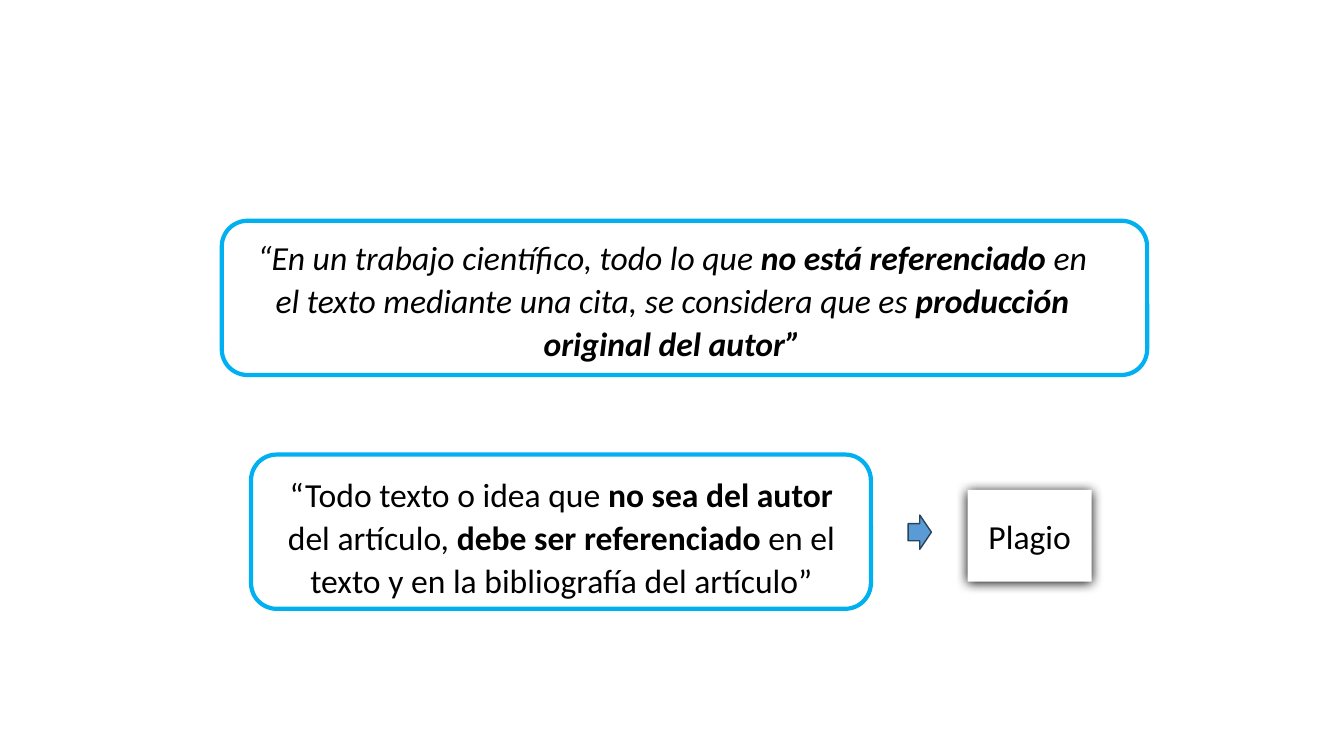
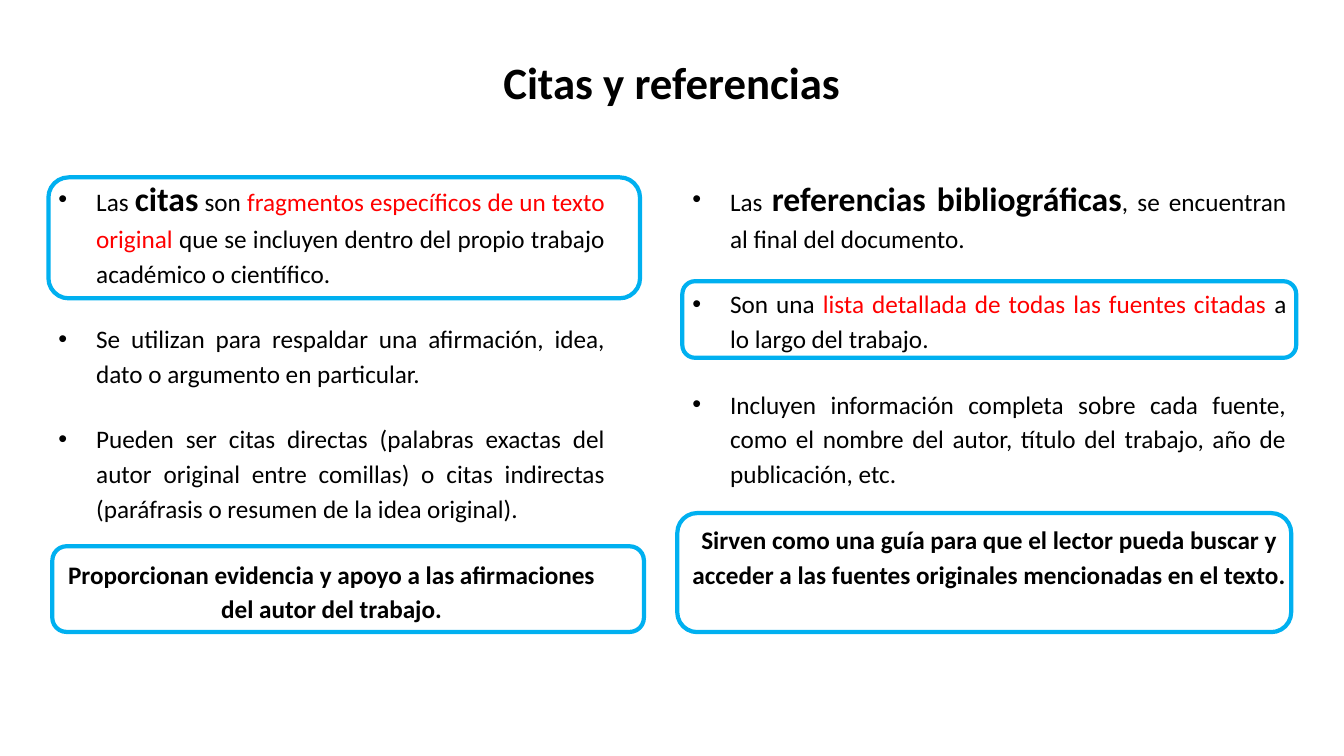
"""Builds two slides on citing sources and on citations versus references."""
import pptx
import pptx.util
import pptx.dml.color
import pptx.enum.shapes
import pptx.enum.text
import pptx.oxml
import pptx.oxml.ns
import lxml.etree

Pt = pptx.util.Pt
SHAPES = pptx.enum.shapes.MSO_SHAPE
ALIGN = pptx.enum.text.PP_ALIGN
ANCHOR = pptx.enum.text.MSO_ANCHOR

FONT = "Calibri"
BLACK, WHITE, RED = "000000", "FFFFFF", "FF0000"
FRAME_BLUE, ARROW_BLUE, ARROW_EDGE = "00B0F0", "5B9BD5", "28445D"

STYLES = {
    "plain": {},
    "bold": {"bold": True},
    "term": {"bold": True, "size": 24},
    "red": {"color": RED},
}

QUOTES = [
    {
        "box": (168.5, 164.2, 623.5, 131),
        "frame": (158.4, 157.7, 661, 110.2),
        "italic": True,
        "runs": [
            ("“En un trabajo científico, todo lo que ", "plain"),
            ("no está referenciado ", "bold"),
            ("en el texto mediante una cita, se considera que es ", "plain"),
            ("producción original del autor”", "bold"),
        ],
    },
    {
        "box": (185, 333.4, 432, 98.6),
        "frame": (179.3, 324.7, 442.8, 110.2),
        "italic": False,
        "runs": [
            ("“Todo texto o idea que ", "plain"),
            ("no sea del autor ", "bold"),
            ("del artículo, ", "plain"),
            ("debe ser referenciado ", "bold"),
            ("en el texto y en la bibliografía del artículo”", "plain"),
        ],
    },
]
ARROW = (648.7, 367.9, 16.6, 24.5)
VERDICT = "Plagio"
VERDICT_BOX = (691.2, 349.9, 88.6, 65.5)

TITLE = "Citas y referencias"
TITLE_BOX = (183.6, 35.3, 592.6, 46.1)
COLUMNS = [
    {
        "box": (34.6, 119.5, 404.6, 332),
        "frames": [(34.6, 126.7, 422.6, 86.4), (37.4, 390.2, 422.6, 61.2)],
        "bullets": [
            [
                ("Las ", "plain"),
                ("citas", "term"),
                (" son ", "plain"),
                ("fragmentos específicos de un texto original ", "red"),
                ("que se incluyen dentro del propio trabajo académico o científico.", "plain"),
            ],
            [("Se utilizan para respaldar una afirmación, idea, dato o argumento en particular.", "plain")],
            [("Pueden ser citas directas (palabras exactas del autor original entre comillas) "
              "o citas indirectas (paráfrasis o resumen de la idea original).", "plain")],
        ],
        "purpose": "Proporcionan evidencia y apoyo a las afirmaciones del autor del trabajo.",
    },
    {
        "box": (487.4, 119.5, 438.5, 332),
        "frames": [(487.4, 200.9, 438.5, 54.7), (483.8, 366.5, 438.5, 85)],
        "bullets": [
            [
                ("Las ", "plain"),
                ("referencias bibliográficas", "term"),
                (", se encuentran al final del documento.", "plain"),
            ],
            [
                ("Son una ", "plain"),
                ("lista detallada de todas las fuentes citadas ", "red"),
                ("a lo largo del trabajo.", "plain"),
            ],
            [("Incluyen información completa sobre cada fuente, como el nombre del autor, "
              "título del trabajo, año de publicación, etc.", "plain")],
        ],
        "purpose": "Sirven como una guía para que el lector pueda buscar y acceder a las "
                   "fuentes originales mencionadas en el texto.",
    },
]


def rgb(value):
    """Return the colour for a hex string."""
    return pptx.dml.color.RGBColor.from_string(value)


def add_bullet(paragraph, indent=27):
    """Give a paragraph a hanging round bullet."""
    properties = paragraph._p.get_or_add_pPr()
    properties.set("marL", str(Pt(indent)))
    properties.set("indent", str(-Pt(indent)))
    for tag, name, value in (("a:buFont", "typeface", "Arial"), ("a:buChar", "char", "•")):
        lxml.etree.SubElement(properties, pptx.oxml.ns.qn(tag)).set(name, value)


def write(paragraph, runs, size, align=ALIGN.CENTER, spacing=None, before=0,
          bullet=False, bold=False, italic=False):
    """Fill a paragraph with styled runs."""
    paragraph.alignment = align
    paragraph.line_spacing = spacing
    paragraph.space_before = Pt(before)
    if bullet:
        add_bullet(paragraph)
    font = paragraph.font
    font.name, font.size, font.bold, font.italic = FONT, Pt(size), bold, italic
    font.color.rgb = rgb(BLACK)
    for text, style_name in runs:
        run = paragraph.add_run()
        run.text = text
        style = STYLES[style_name]
        if "bold" in style:
            run.font.bold = True
        if "size" in style:
            run.font.size = Pt(style["size"])
        if "color" in style:
            run.font.color.rgb = rgb(style["color"])


def add_text(slide, box):
    """Add a wrapping text box and return its text frame."""
    frame = slide.shapes.add_textbox(*map(Pt, box)).text_frame
    frame.word_wrap = True
    return frame


def add_box(slide, kind, box, fill=None, line=None, width=1):
    """Add a preset shape with an optional fill and outline."""
    shape = slide.shapes.add_shape(kind, *map(Pt, box))
    shape.shadow.inherit = False
    if fill:
        shape.fill.solid()
        shape.fill.fore_color.rgb = rgb(fill)
    else:
        shape.fill.background()
    if line:
        shape.line.color.rgb = rgb(line)
        shape.line.width = Pt(width)
    else:
        shape.line.fill.background()
    return shape


def add_frame(slide, box):
    """Add the rounded blue outline used on both slides."""
    add_box(slide, SHAPES.ROUNDED_RECTANGLE, box, line=FRAME_BLUE, width=3)


def add_shadow(shape, blur, distance):
    """Give a shape a soft black shadow below it."""
    effects = shape._element.spPr.find(pptx.oxml.ns.qn("a:effectLst"))
    effects.append(pptx.oxml.parse_xml(
        f'<a:outerShdw {pptx.oxml.ns.nsdecls("a")} blurRad="{Pt(blur)}" dist="{Pt(distance)}" '
        f'dir="5400000" algn="ctr" rotWithShape="0"><a:srgbClr val="{BLACK}"/></a:outerShdw>'))


def build_quotes(presentation):
    """Build the slide with the two quotes and the verdict."""
    slide = presentation.slides.add_slide(presentation.slide_layouts[6])
    for quote in QUOTES:
        add_frame(slide, quote["frame"])
        text = add_text(slide, quote["box"])
        write(text.paragraphs[0], quote["runs"], 24, spacing=1.06, italic=quote["italic"])
    add_box(slide, SHAPES.RIGHT_ARROW, ARROW, ARROW_BLUE, ARROW_EDGE)
    verdict = add_box(slide, SHAPES.RECTANGLE, VERDICT_BOX, WHITE)
    add_shadow(verdict, 8.5, 1)
    verdict.text_frame.vertical_anchor = ANCHOR.MIDDLE
    write(verdict.text_frame.paragraphs[0], [(VERDICT, "plain")], 24)


def build_comparison(presentation):
    """Build the slide comparing citations with references."""
    slide = presentation.slides.add_slide(presentation.slide_layouts[5])
    title = slide.shapes.title
    title.left, title.top, title.width, title.height = map(Pt, TITLE_BOX)
    title.text_frame.auto_size = pptx.enum.text.MSO_AUTO_SIZE.NONE
    title.text_frame.vertical_anchor = ANCHOR.MIDDLE
    write(title.text_frame.paragraphs[0], [(TITLE, "bold")], 32, bold=True)
    for column in COLUMNS:
        text = add_text(slide, column["box"])
        for index, runs in enumerate(column["bullets"]):
            paragraph = text.add_paragraph() if index else text.paragraphs[0]
            write(paragraph, runs, 18, ALIGN.JUSTIFY, 1.15, 22 if index else 0, bullet=True)
        write(text.add_paragraph(), [(column["purpose"], "plain")], 18,
              spacing=1.15, before=22, bold=True)
        for frame in column["frames"]:
            add_frame(slide, frame)


def main():
    """Build and save the presentation."""
    presentation = pptx.Presentation()
    presentation.slide_width, presentation.slide_height = Pt(960), Pt(540)
    build_quotes(presentation)
    build_comparison(presentation)
    presentation.save("out.pptx")


if __name__ == "__main__":
    main()
